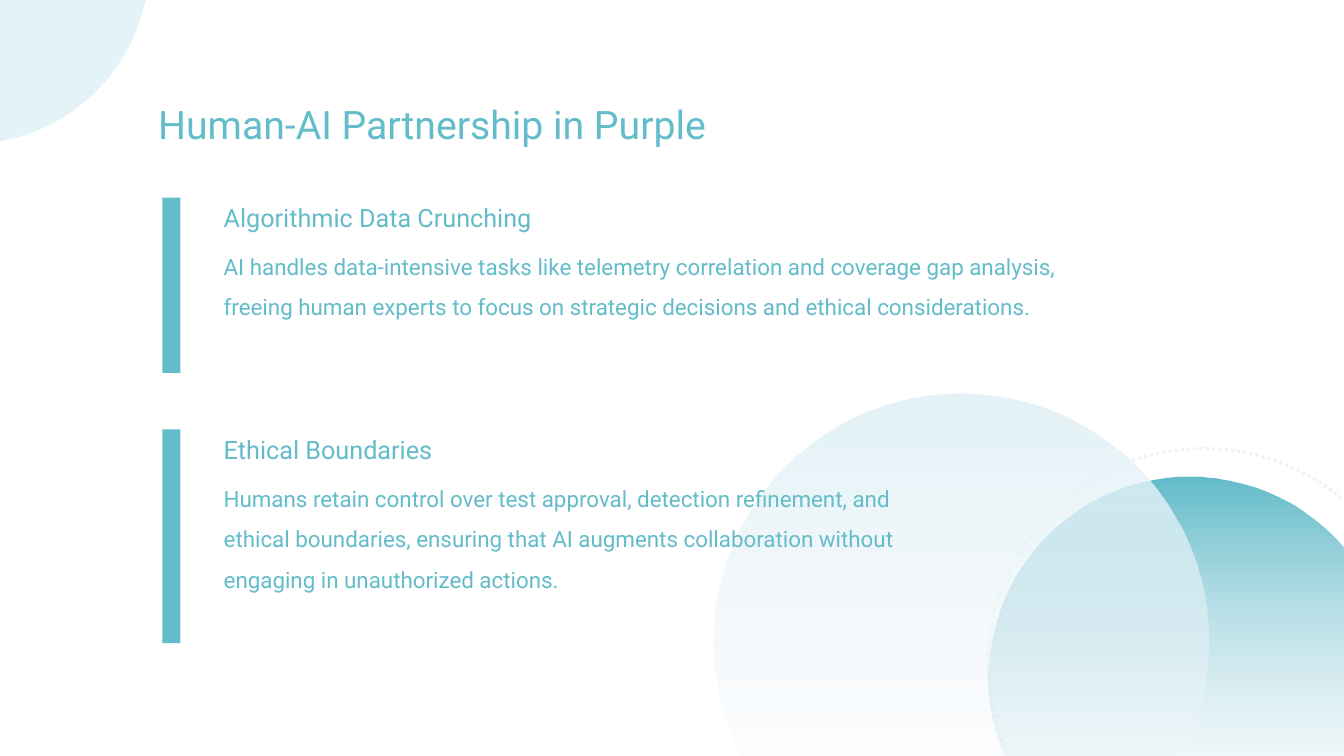
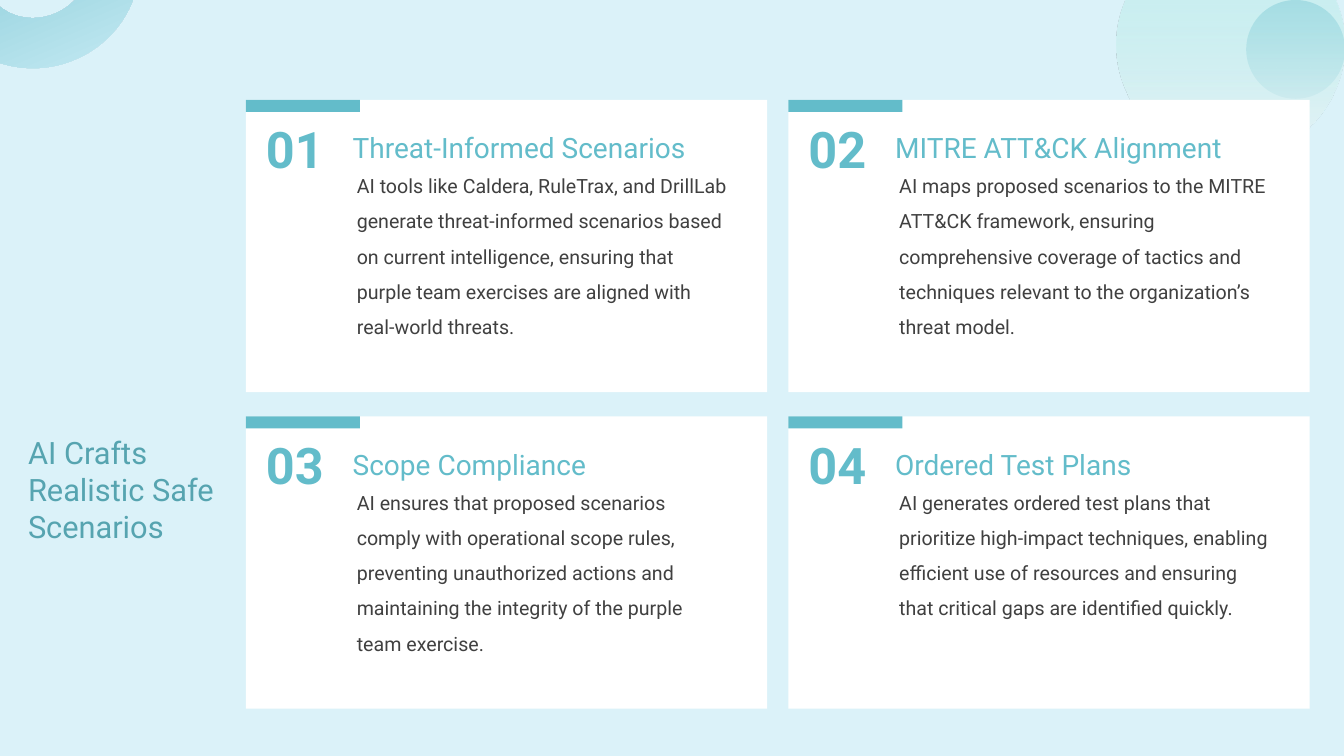
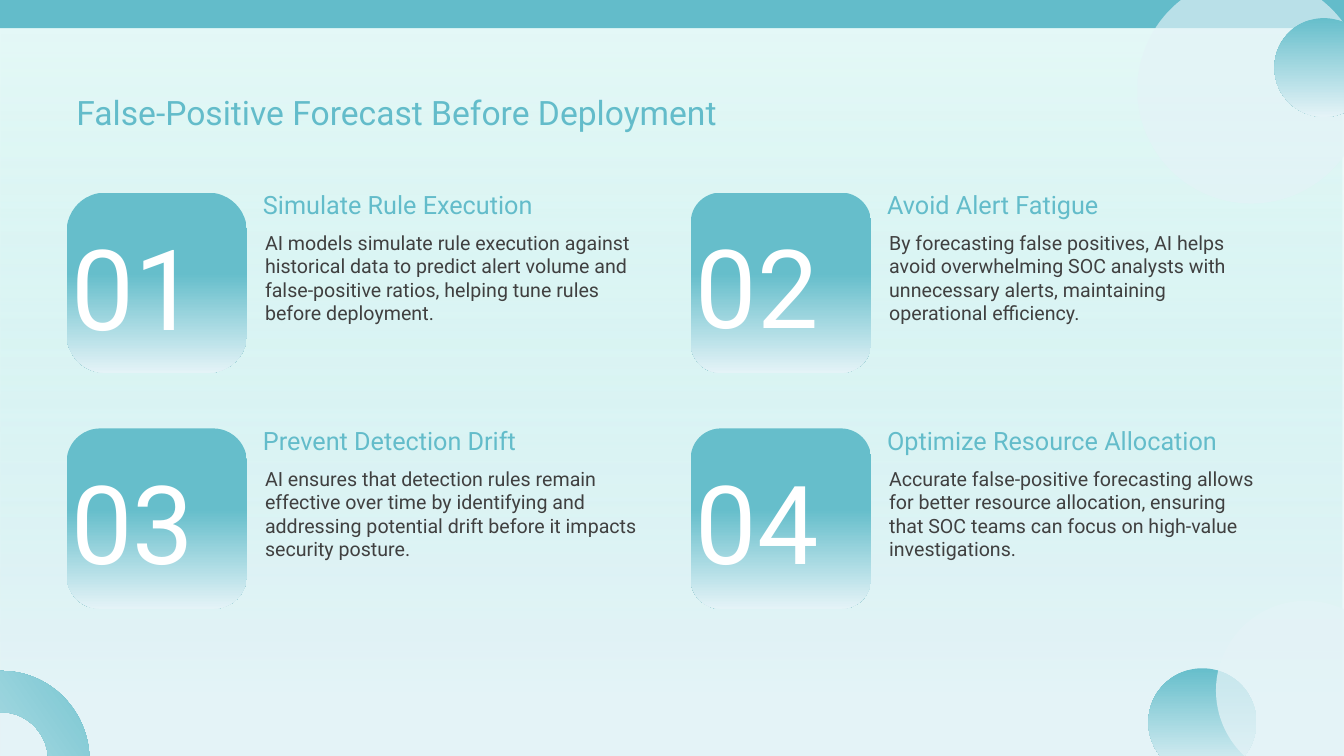
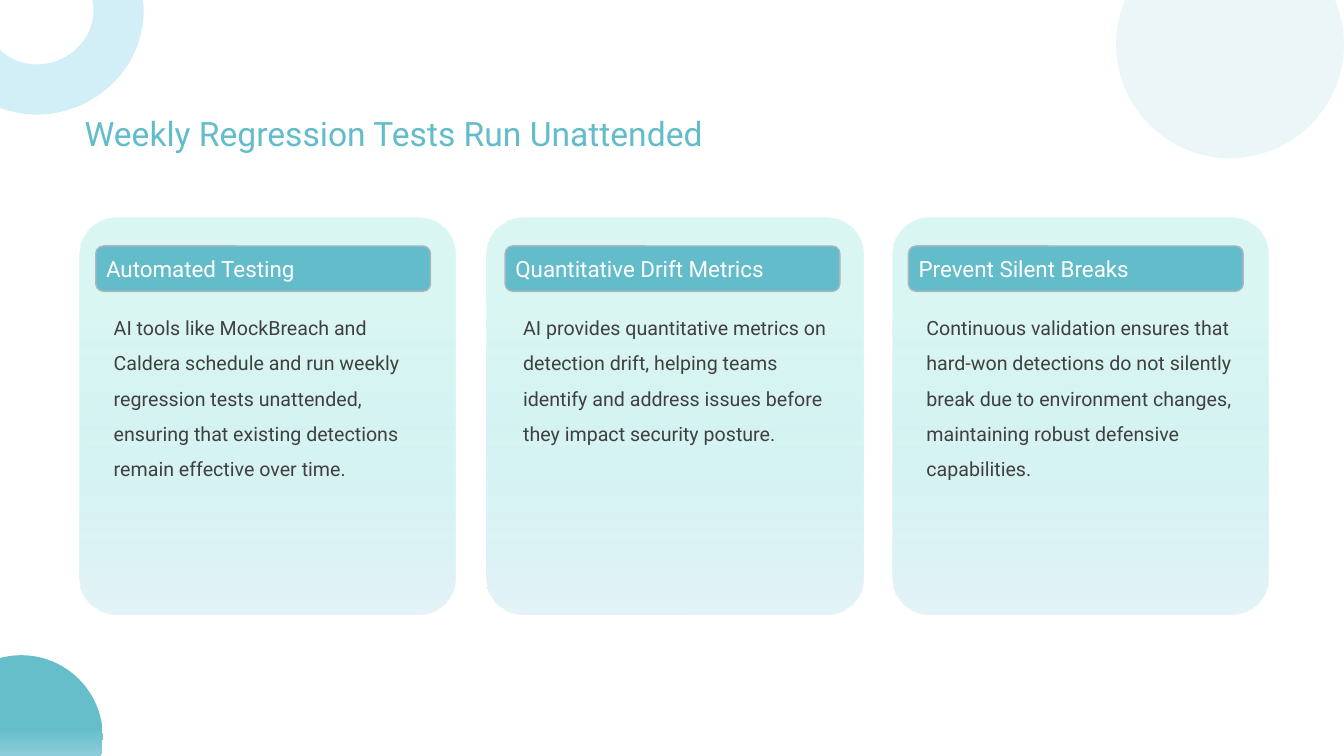
from lxml.etree import SubElement
from pptx import Presentation
from pptx.dml.color import RGBColor
from pptx.enum.dml import MSO_LINE
from pptx.enum.shapes import MSO_SHAPE
from pptx.enum.text import MSO_ANCHOR, PP_ALIGN
from pptx.oxml.ns import qn
from pptx.util import Pt

EMU_PER_PX = 9144
FONT = "Roboto"
TEAL = RGBColor(0x63, 0xBC, 0xCA)
BRIGHT_TEAL = RGBColor(0x66, 0xBE, 0xCB)
DEEP_TEAL = RGBColor(0x56, 0xA4, 0xB0)
ARC_TEAL = RGBColor(0x72, 0xC3, 0xCF)
SOFT_TEAL = RGBColor(0x85, 0xCA, 0xDB)
MINT = RGBColor(0xA8, 0xEA, 0xE4)
SKY = RGBColor(0xD2, 0xEF, 0xF8)
PALE = RGBColor(0xE4, 0xF3, 0xF7)
MIST = RGBColor(0xF6, 0xF8, 0xFD)
DOTS = RGBColor(0xEE, 0xF4, 0xF6)
BORDER = RGBColor(0xAE, 0xB5, 0xC0)
INK = RGBColor(0x40, 0x40, 0x40)
WHITE = RGBColor(0xFF, 0xFF, 0xFF)

TEAL_FADE = [(0, TEAL, 100), (100, MIST, 0)]
PALE_FADE = [(0, PALE, 100), (100, MIST, 0)]
MINT_FADE = [(0, MINT, 28), (92, PALE, 100), (100, PALE, 100)]
CARD_FADE = [(0, MINT, 42), (25, MINT, 42), (100, PALE, 100)]
BALL_FADE = [(0, BRIGHT_TEAL, 100), (100, PALE, 100)]
TILE_FADE = [(0, BRIGHT_TEAL, 100), (45, BRIGHT_TEAL, 100), (100, PALE, 100)]
ARC_FADE = [(0, SKY, 100), (86, ARC_TEAL, 100), (100, ARC_TEAL, 100)]
HALF_RING = (108, 0, 0.25)


def px(*lengths):
    """Turn lengths in px into EMU."""
    return [length * EMU_PER_PX for length in lengths]


def set_alpha(color_element, alpha):
    """Give a colour element its opacity in percent."""
    SubElement(color_element, qn("a:alpha")).set("val", str(alpha * 1000))


def fill_gradient(shape, stops):
    """Fill a shape from top to bottom with (position, colour, opacity) stops."""
    shape.fill.gradient()
    gradient = shape.fill._fill._gradFill
    stop_list = gradient.find(qn("a:gsLst"))
    for old_stop in list(stop_list):
        stop_list.remove(old_stop)
    for position, color, alpha in stops:
        stop = SubElement(stop_list, qn("a:gs"))
        stop.set("pos", str(position * 1000))
        color_element = SubElement(stop, qn("a:srgbClr"))
        color_element.set("val", str(color))
        set_alpha(color_element, alpha)
    direction = gradient.find(qn("a:lin"))
    direction.set("ang", "5400000")
    direction.set("scaled", "0")


def add_figure(slide, kind, box, fill=None, alpha=100, rotation=0, adjustments=()):
    """Add a preset shape with a solid or gradient fill and no line."""
    shape = slide.shapes.add_shape(kind, *px(*box))
    shape.shadow.inherit = False
    shape.rotation = rotation
    for index, value in enumerate(adjustments):
        shape.adjustments[index] = value
    shape.line.fill.background()
    if fill is None:
        shape.fill.background()
    elif isinstance(fill, list):
        fill_gradient(shape, fill)
    else:
        shape.fill.solid()
        shape.fill.fore_color.rgb = fill
        if alpha < 100:
            set_alpha(shape.fill._xPr.find(".//" + qn("a:srgbClr")), alpha)
    return shape


def add_circle(slide, left, top, diameter, fill=None, alpha=100):
    """Add a circle."""
    box = (left, top, diameter, diameter)
    return add_figure(slide, MSO_SHAPE.OVAL, box, fill, alpha)


def add_bar(slide, box, fill=TEAL):
    """Add a plain rectangle."""
    return add_figure(slide, MSO_SHAPE.RECTANGLE, box, fill)


def write(shape, text, size, color, spacing=None, bold=None):
    """Write one left-aligned paragraph into a shape."""
    shape.text_frame.word_wrap = True
    paragraph = shape.text_frame.paragraphs[0]
    paragraph.text = text
    paragraph.alignment = PP_ALIGN.LEFT
    if spacing:
        paragraph.line_spacing = spacing
    paragraph.font.name = FONT
    paragraph.font.size = Pt(size)
    paragraph.font.color.rgb = color
    paragraph.font.bold = bold


def add_text(slide, box, text, size, color=TEAL, spacing=None, bold=None):
    """Add a wrapping text box."""
    text_box = slide.shapes.add_textbox(*px(*box))
    write(text_box, text, size, color, spacing, bold)
    return text_box


def add_title(slide, left, top, text, size=24):
    """Add a slide title."""
    add_text(slide, (left, top, 1139, 40), text, size)


def grid(items, left, top, column_pitch, row_pitch):
    """Yield left, top, number label and item over two columns."""
    for index, item in enumerate(items):
        row, column = divmod(index, 2)
        yield left + column * column_pitch, top + row * row_pitch, f"{index + 1:02}", item


def add_bar_section(slide, top, height, width, heading, body):
    """Add a heading and body beside an upright bar."""
    add_bar(slide, (161, top, 18, height))
    add_text(slide, (212, top, 593, 37), heading, 18)
    add_text(slide, (212, top + 37, width, height - 37), body, 16, spacing=1.5)


def add_white_card(slide, left, top, number, heading, body):
    """Add a numbered white card with a tab on its top edge."""
    add_bar(slide, (left, top, 517, 290), WHITE)
    add_bar(slide, (left, top, 113, 12))
    add_text(slide, (left + 10, top + 13, 93, 65), number, 36, bold=True)
    add_text(slide, (left + 96, top + 26, 410, 58), heading, 20)
    add_text(slide, (left + 100, top + 57, 392, 221), body, 14, INK, 1.5)


def add_number_tile(slide, left, top, number, size, rounding, heading, body):
    """Add a rounded number tile with text to its right."""
    box = (left, top, 179, 179)
    add_figure(slide, MSO_SHAPE.ROUNDED_RECTANGLE, box, TILE_FADE, adjustments=(rounding,))
    frame = add_text(slide, box, number, size, WHITE).text_frame
    frame.vertical_anchor = MSO_ANCHOR.MIDDLE
    frame.margin_left, frame.margin_top, frame.margin_right, frame.margin_bottom = px(5, 10, 10, 5)
    add_text(slide, (left + 185, top - 8, 392, 37), heading, 18)
    add_text(slide, (left + 187, top + 33, 392, 185), body, 14, INK)


def add_mint_card(slide, left, label_left, label, body):
    """Add a rounded mint card with a label bar and body."""
    add_figure(slide, MSO_SHAPE.ROUNDED_RECTANGLE, (left, 216, 373, 394), CARD_FADE, adjustments=(0.1,))
    label_bar = add_figure(slide, MSO_SHAPE.ROUNDED_RECTANGLE, (label_left, 244, 332, 45), TEAL, adjustments=(0.167,))
    label_bar.line.color.rgb = BORDER
    label_bar.line.width = Pt(1)
    label_bar.text_frame.margin_left, = px(8)
    label_bar.text_frame.vertical_anchor = MSO_ANCHOR.MIDDLE
    write(label_bar, label, 16, WHITE)
    add_text(slide, (label_left + 8, 297, 324, 285), body, 14, INK, 1.5)


def build_partnership(slide):
    """Build the slide on sharing work between people and AI."""
    add_circle(slide, -211, -216, 359, PALE)
    add_title(slide, 147, 95, "Human-AI Partnership in Purple", 28)
    ring = add_circle(slide, 980, 445, 428)
    ring.rotation = 264
    ring.line.color.rgb = DOTS
    ring.line.width = Pt(2.25)
    ring.line.dash_style = MSO_LINE.ROUND_DOT
    add_circle(slide, 980, 473, 400, TEAL_FADE)
    add_circle(slide, 708, 390, 491, PALE_FADE)
    add_bar_section(
        slide, 196, 174, 909, "Algorithmic Data Crunching",
        "AI handles data-intensive tasks like telemetry correlation and coverage gap analysis, "
        "freeing human experts to focus on strategic decisions and ethical considerations.")
    add_bar_section(
        slide, 426, 212, 688, "Ethical Boundaries",
        "Humans retain control over test approval, detection refinement, and ethical boundaries, "
        "ensuring that AI augments collaboration without engaging in unauthorized actions.")


def build_scenarios(slide):
    """Build the slide with four white cards."""
    add_figure(slide, MSO_SHAPE.RECTANGLE, (0, 0, 1333, 750), SKY, 78)
    add_circle(slide, 1236, 0, 98, SOFT_TEAL, 90)
    add_figure(slide, MSO_SHAPE.BLOCK_ARC, (-68, -132, 207, 199), ARC_FADE, rotation=157, adjustments=HALF_RING)
    add_text(slide, (18, 425, 226, 131), "AI Crafts Realistic Safe Scenarios", 22, DEEP_TEAL)
    add_circle(slide, 1107, -69, 226, MINT_FADE)
    cards = [
        ("Threat-Informed Scenarios",
         "AI tools like Caldera, RuleTrax, and DrillLab generate threat-informed scenarios based on "
         "current intelligence, ensuring that purple team exercises are aligned with real-world threats."),
        ("MITRE ATT&CK Alignment",
         "AI maps proposed scenarios to the MITRE ATT&CK framework, ensuring comprehensive coverage "
         "of tactics and techniques relevant to the organization’s threat model."),
        ("Scope Compliance",
         "AI ensures that proposed scenarios comply with operational scope rules, preventing "
         "unauthorized actions and maintaining the integrity of the purple team exercise."),
        ("Ordered Test Plans",
         "AI generates ordered test plans that prioritize high-impact techniques, enabling efficient "
         "use of resources and ensuring that critical gaps are identified quickly."),
    ]
    for left, top, number, card in grid(cards, 244, 99, 538, 314):
        add_white_card(slide, left, top, number, *card)


def build_forecast(slide):
    """Build the slide with four number tiles."""
    add_bar(slide, (0, 0, 1333, 750), MINT_FADE)
    add_figure(slide, MSO_SHAPE.BLOCK_ARC, (-80, 668, 171, 164), BALL_FADE, rotation=55, adjustments=HALF_RING)
    add_title(slide, 66, 86, "False-Positive Forecast Before Deployment")
    add_bar(slide, (0, 0, 1340, 28))
    add_circle(slide, 1128, -24, 226, PALE, 67)
    add_circle(slide, 1264, 18, 98, BALL_FADE)
    add_circle(slide, 1139, 663, 107, BALL_FADE)
    add_circle(slide, 1206, 596, 178, PALE, 77)
    tiles = [
        (80, 0.216, "Simulate Rule Execution",
         "AI models simulate rule execution against historical data to predict alert volume and "
         "false-positive ratios, helping tune rules before deployment."),
        (78, 0.167, "Avoid Alert Fatigue",
         "By forecasting false positives, AI helps avoid overwhelming SOC analysts with unnecessary "
         "alerts, maintaining operational efficiency."),
        (78, 0.187, "Prevent Detection Drift",
         "AI ensures that detection rules remain effective over time by identifying and addressing "
         "potential drift before it impacts security posture."),
        (78, 0.167, "Optimize Resource Allocation",
         "Accurate false-positive forecasting allows for better resource allocation, ensuring that "
         "SOC teams can focus on high-value investigations."),
    ]
    for left, top, number, tile in grid(tiles, 66, 191, 619, 234):
        add_number_tile(slide, left, top, number, *tile)


def build_regression(slide):
    """Build the slide with three mint cards."""
    add_circle(slide, -60, 650, 162, TILE_FADE)
    add_figure(slide, MSO_SHAPE.BLOCK_ARC, (-64, -86, 207, 199), SKY, rotation=157, adjustments=HALF_RING)
    add_title(slide, 74, 107, "Weekly Regression Tests Run Unattended")
    add_circle(slide, 1107, -69, 226, PALE, 67)
    cards = [
        (79, 95, "Automated Testing",
         "AI tools like MockBreach and Caldera schedule and run weekly regression tests unattended, "
         "ensuring that existing detections remain effective over time."),
        (483, 501, "Quantitative Drift Metrics",
         "AI provides quantitative metrics on detection drift, helping teams identify and address "
         "issues before they impact security posture."),
        (885, 901, "Prevent Silent Breaks",
         "Continuous validation ensures that hard-won detections do not silently break due to "
         "environment changes, maintaining robust defensive capabilities."),
    ]
    for card in cards:
        add_mint_card(slide, *card)


def main():
    """Build and save the presentation."""
    presentation = Presentation()
    presentation.slide_width, presentation.slide_height = px(1333, 750)
    blank_layout = presentation.slide_layouts[6]
    for build in (build_partnership, build_scenarios, build_forecast, build_regression):
        build(presentation.slides.add_slide(blank_layout))
    presentation.save("out.pptx")


if __name__ == "__main__":
    main()
